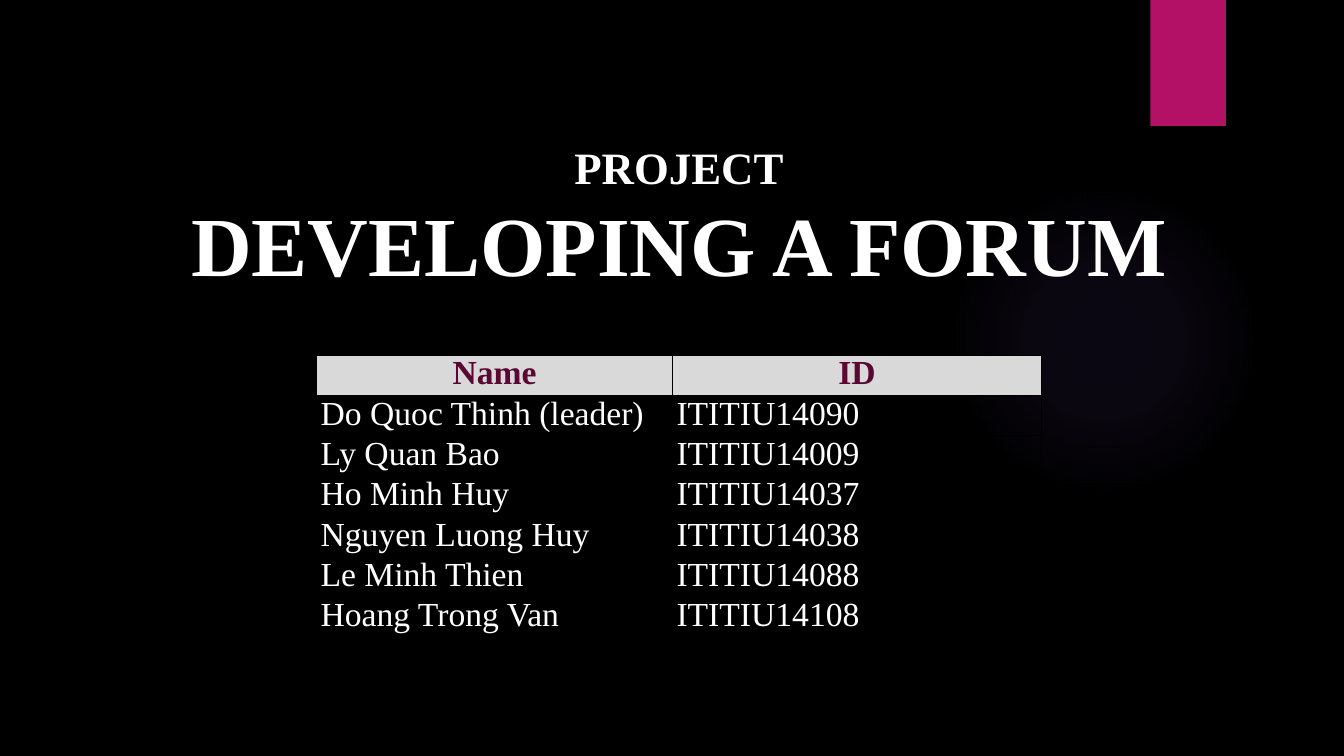
from lxml.etree import SubElement
from pptx import Presentation
from pptx.dml.color import RGBColor
from pptx.enum.shapes import MSO_SHAPE
from pptx.enum.text import PP_ALIGN
from pptx.oxml import parse_xml
from pptx.oxml.ns import nsdecls, qn
from pptx.util import Inches, Pt

TITLE_LINES = [("PROJECT", 32, 0), ("DEVELOPING A FORUM", 60, 47.6)]
MEMBERS = [
    ("Name", "ID"),
    ("Do Quoc Thinh (leader)", "ITITIU14090"),
    ("Ly Quan Bao", "ITITIU14009"),
    ("Ho Minh Huy", "ITITIU14037"),
    ("Nguyen Luong Huy", "ITITIU14038"),
    ("Le Minh Thien", "ITITIU14088"),
    ("Hoang Trong Van", "ITITIU14108"),
]
COLUMN_WIDTHS = (3.53, 3.66)
ROW_HEIGHT = 0.4
GLOW_STOPS = [(0, 7), (36, 6), (69, 0)]
GLOW_HEX = "9B6BF2"
FONT = "Times New Roman"

BLACK = RGBColor(0x00, 0x00, 0x00)
WHITE = RGBColor(0xFF, 0xFF, 0xFF)
MAGENTA = RGBColor(0xB3, 0x11, 0x66)
PLUM = RGBColor(0x5A, 0x08, 0x33)
GREY = RGBColor(0xD9, 0xD9, 0xD9)


def set_attributes(target, values):
    """Set each named attribute of the target."""
    for name, value in values.items():
        setattr(target, name, value)


def write(paragraph, text, size, color, bold, align):
    """Write one formatted run into a paragraph."""
    paragraph.alignment = align
    run = paragraph.add_run()
    run.text = text
    set_attributes(run.font, {"name": FONT, "size": Pt(size), "bold": bold})
    run.font.color.rgb = color


def add_plain_shape(slide, kind, left, top, width, height):
    """Add a preset shape without line or shadow."""
    shape = slide.shapes.add_shape(
        kind, Inches(left), Inches(top), Inches(width), Inches(height))
    shape.shadow.inherit = False
    shape.line.fill.background()
    return shape


def add_glow(slide):
    """Add the faint round glow at the right."""
    glow = add_plain_shape(slide, MSO_SHAPE.OVAL, 9.41, 1.83, 3.08, 3.08)
    stops = "".join(
        f'<a:gs pos="{position * 1000}"><a:srgbClr val="{GLOW_HEX}">'
        f'<a:alpha val="{alpha * 1000}"/></a:srgbClr></a:gs>'
        for position, alpha in GLOW_STOPS)
    gradient = parse_xml(
        f'<a:gradFill {nsdecls("a")}><a:gsLst>{stops}</a:gsLst><a:path path="circle">'
        '<a:fillToRect l="50000" t="50000" r="50000" b="50000"/></a:path></a:gradFill>')
    glow.element.spPr.find(qn("a:prstGeom")).addnext(gradient)


def add_title(slide):
    """Add the two title lines."""
    box = slide.shapes.add_textbox(Inches(1.65), Inches(1.59), Inches(10.17), Inches(1.35))
    frame = box.text_frame
    set_attributes(frame, {"word_wrap": True, "margin_left": 0, "margin_top": 0,
                           "margin_right": 0, "margin_bottom": 0})
    for index, (text, size, space) in enumerate(TITLE_LINES):
        paragraph = frame.add_paragraph() if index else frame.paragraphs[0]
        set_attributes(paragraph, {"line_spacing": Pt(23.8), "space_before": Pt(space)})
        write(paragraph, text, size, WHITE, True, PP_ALIGN.CENTER)


def add_borders(cell):
    """Give a cell thin black borders on all sides."""
    properties = cell._tc.get_or_add_tcPr()
    for index, side in enumerate(("lnL", "lnR", "lnT", "lnB")):
        border = SubElement(properties, qn(f"a:{side}"), w=str(Pt(0.22)))
        fill = SubElement(border, qn("a:solidFill"))
        SubElement(fill, qn("a:srgbClr"), val=str(BLACK))
        properties.insert(index, border)


def add_members(slide):
    """Add the table of names and IDs."""
    table = slide.shapes.add_table(
        len(MEMBERS), len(COLUMN_WIDTHS), Inches(3.14), Inches(3.52),
        Inches(sum(COLUMN_WIDTHS)), Inches(ROW_HEIGHT * len(MEMBERS))).table
    table.horz_banding = False
    for column, width in zip(table.columns, COLUMN_WIDTHS):
        column.width = Inches(width)
    for row_index, member in enumerate(MEMBERS):
        header = row_index == 0
        table.rows[row_index].height = Inches(ROW_HEIGHT)
        for column_index, text in enumerate(member):
            cell = table.cell(row_index, column_index)
            set_attributes(cell, {"margin_left": Inches(0 if header else 0.04),
                                  "margin_top": 0, "margin_right": 0, "margin_bottom": 0})
            if header:
                cell.fill.solid()
                cell.fill.fore_color.rgb = GREY
            else:
                cell.fill.background()
            add_borders(cell)
            write(cell.text_frame.paragraphs[0], text, 24, PLUM if header else WHITE,
                  header, PP_ALIGN.CENTER if header else PP_ALIGN.LEFT)


def main():
    """Build and save the slide."""
    presentation = Presentation()
    set_attributes(presentation, {"slide_width": Inches(13.33), "slide_height": Inches(7.5)})
    slide = presentation.slides.add_slide(presentation.slide_layouts[6])
    slide.background.fill.solid()
    slide.background.fill.fore_color.rgb = BLACK
    add_glow(slide)
    ribbon = add_plain_shape(slide, MSO_SHAPE.RECTANGLE, 11.41, 0, 0.75, 1.25)
    ribbon.fill.solid()
    ribbon.fill.fore_color.rgb = MAGENTA
    add_title(slide)
    add_members(slide)
    presentation.save("out.pptx")


if __name__ == "__main__":
    main()
